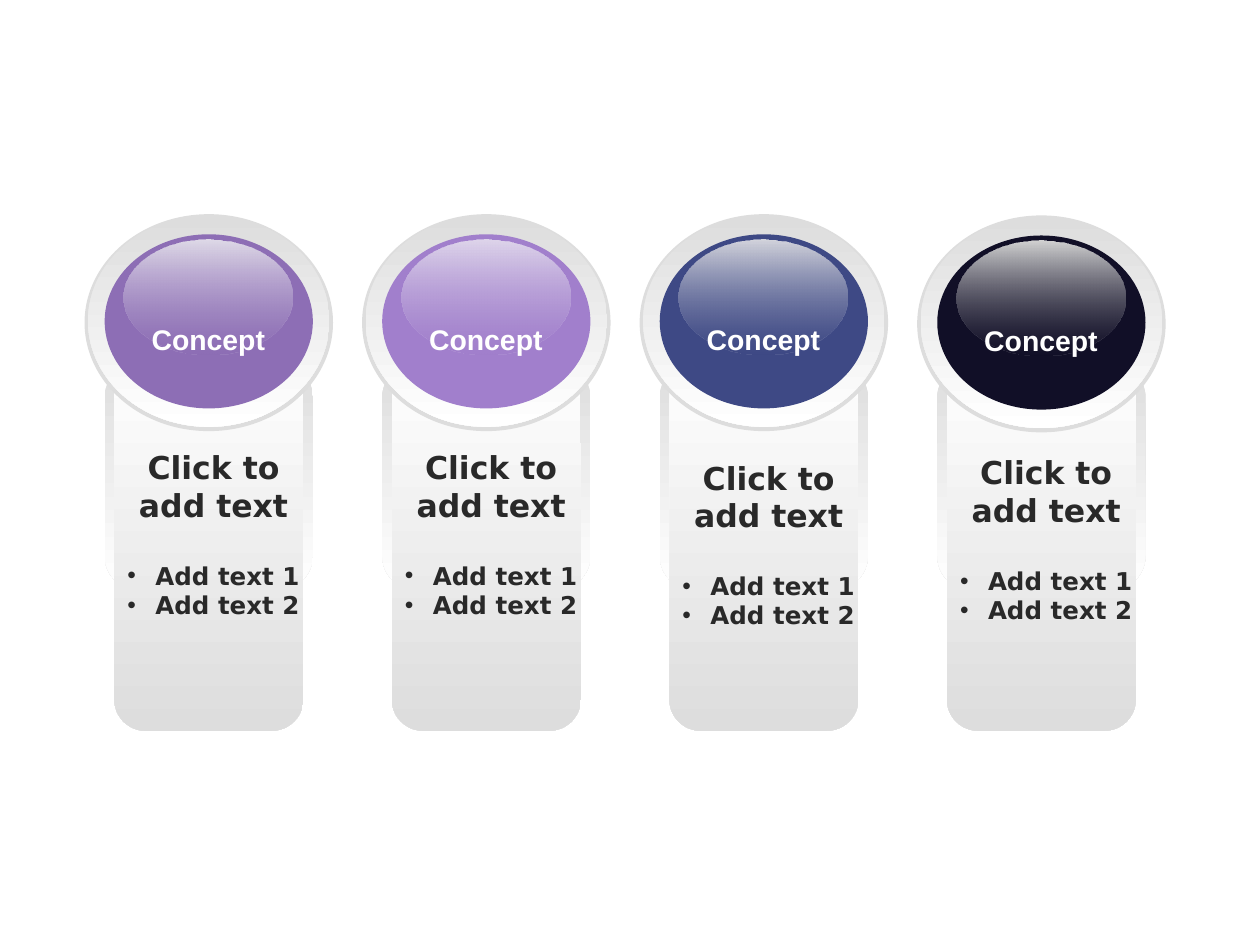
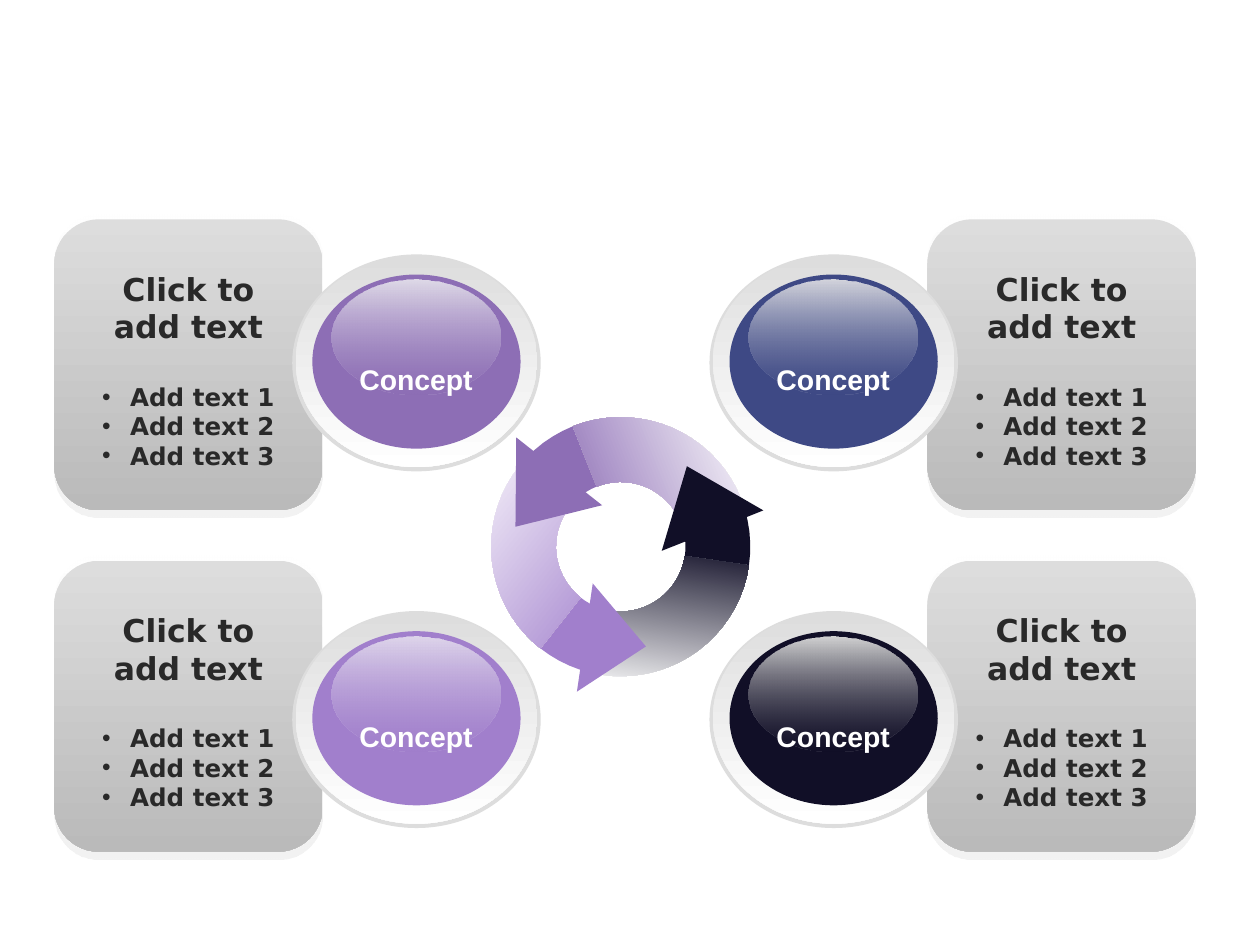
import math

import lxml.etree
import pptx
import pptx.dml.color
import pptx.enum.shapes
import pptx.enum.text
import pptx.oxml.ns
import pptx.util

Pt = pptx.util.Pt
RGBColor = pptx.dml.color.RGBColor
Preset = pptx.enum.shapes.MSO_SHAPE
qn = pptx.oxml.ns.qn

# Colours
WHITE = RGBColor(0xFF, 0xFF, 0xFF)
SILVER = RGBColor(0xDD, 0xDD, 0xDD)
GREY = RGBColor(0xBA, 0xBA, 0xBA)
INK = RGBColor(0x29, 0x29, 0x29)
PURPLE = RGBColor(0x8D, 0x6E, 0xB5)
LILAC = RGBColor(0xA1, 0x7F, 0xCC)
BLUE = RGBColor(0x3E, 0x49, 0x85)
NIGHT = RGBColor(0x11, 0x0F, 0x27)
GLOSS = {
    PURPLE: RGBColor(0xDF, 0xDA, 0xE8),
    LILAC: RGBColor(0xDE, 0xD5, 0xEB),
    BLUE: RGBColor(0xD4, 0xD5, 0xDD),
    NIGHT: RGBColor(0xD3, 0xD3, 0xD3),
}

# Fonts
BODY_FONT = "DejaVu Sans"
LABEL_FONT = "Arial"


class Deck:
    """Holds the presentation, its style and the current slide."""

    def __init__(self, width, height):
        self.presentation = pptx.Presentation()
        self.presentation.slide_width = Pt(width)
        self.presentation.slide_height = Pt(height)
        self.slide = None

    def new_slide(self):
        blank = self.presentation.slide_layouts[6]
        self.slide = self.presentation.slides.add_slide(blank)

    def paint(self, shape, *colours, opacity=(100, 100)):
        """Fill with one colour, or with two from top to bottom."""
        shape.shadow.inherit = False
        shape.line.fill.background()
        if len(colours) == 1:
            shape.fill.solid()
            shape.fill.fore_color.rgb = colours[0]
            return
        shape.fill.gradient()
        shape.fill.gradient_angle = 270
        for stop, colour in zip(shape.fill.gradient_stops, colours):
            stop.color.rgb = colour
        values = shape._element.spPr.iter(qn("a:srgbClr"))
        for value, percent in zip(values, opacity):
            if percent < 100:
                alpha = lxml.etree.SubElement(value, qn("a:alpha"))
                alpha.set("val", str(percent * 1000))

    def shape(self, preset, left, top, width, height, *colours, opacity=(100, 100)):
        shape = self.slide.shapes.add_shape(
            preset, Pt(left), Pt(top), Pt(width), Pt(height))
        self.paint(shape, *colours, opacity=opacity)
        return shape

    def text_frame(self, left, top, width, height):
        box = self.slide.shapes.add_textbox(Pt(left), Pt(top), Pt(width), Pt(height))
        box.text_frame.word_wrap = True
        return box.text_frame

    def add_run(self, paragraph, text, font, size, colour):
        paragraph.alignment = pptx.enum.text.PP_ALIGN.CENTER
        run = paragraph.add_run()
        run.text = text
        run.font.name = font
        run.font.size = Pt(size)
        run.font.bold = True
        run.font.color.rgb = colour
        return run

    def bullet(self, paragraph, indent=16):
        properties = paragraph._p.get_or_add_pPr()
        properties.set("marL", str(Pt(indent)))
        properties.set("indent", str(-Pt(indent)))
        font = lxml.etree.SubElement(properties, qn("a:buFont"))
        font.set("typeface", LABEL_FONT)
        mark = lxml.etree.SubElement(properties, qn("a:buChar"))
        mark.set("char", "•")

    def heading_and_bullets(self, left, top, width, count):
        frame = self.text_frame(left, top, width, 122.4)
        self.add_run(frame.paragraphs[0], "Click to add text", BODY_FONT, 18, INK)
        for number in range(1, count + 1):
            paragraph = frame.add_paragraph()
            if number == 1:
                paragraph.space_before = Pt(21)
            self.bullet(paragraph)
            self.add_run(paragraph, f"Add text {number}", BODY_FONT, 14, INK)

    def ball(self, left, top, colour):
        """A glossy disc in a silver rim, with its label."""
        oval = Preset.OVAL
        self.shape(oval, left, top, 142, 124, SILVER)
        self.shape(oval, left + 2, top + 0.5, 138, 121, SILVER, WHITE)
        self.shape(oval, left + 11.5, top + 11.5, 119, 99.5, colour)
        self.shape(oval, left + 22.5, top + 14.5, 96.5, 65.5,
                   GLOSS[colour], colour, opacity=(100, 37))
        frame = self.text_frame(left + 22.5, top + 39.5, 96.5, 30)
        run = self.add_run(frame.paragraphs[0], "Concept", LABEL_FONT, 28, WHITE)
        run._r.get_or_add_rPr().set("baseline", "-25000")

    def column(self, left, top, text_top):
        self.shape(Preset.ROUNDED_RECTANGLE, left, top + 5, 119, 130, SILVER, WHITE)
        self.shape(Preset.ROUNDED_RECTANGLE, left + 5.5, top, 108, 215.3, WHITE, SILVER)
        self.heading_and_bullets(left, text_top, 124.5, 2)

    def card(self, left, top):
        rounded = Preset.ROUNDED_RECTANGLE
        self.shape(rounded, left, top, 153.4, 173.5, WHITE, SILVER, opacity=(100, 35))
        self.shape(rounded, left, top + 2.9, 153.4, 166.3, SILVER, GREY)
        self.heading_and_bullets(left + 16.6, top + 28.1, 120.2, 3)

    def ring_quarter(self, center, radius, rotation, *colours):
        """The upper left quarter of a ring, turned about the ring's center."""
        angles = [math.radians(degrees) for degrees in range(180, 271, 5)]
        arcs = [(radius, angle) for angle in angles]
        arcs += [(radius / 2, angle) for angle in reversed(angles)]
        points = [(Pt(center[0] + reach * math.cos(angle)),
                   Pt(center[1] + reach * math.sin(angle))) for reach, angle in arcs]
        builder = self.slide.shapes.build_freeform(*points[0], scale=1.0)
        builder.add_line_segments(points[1:], close=True)
        quarter = builder.convert_to_shape()
        direction = math.radians(225 + rotation)
        reach = radius / math.sqrt(2)
        quarter.left = Pt(center[0] + reach * math.cos(direction) - radius / 2)
        quarter.top = Pt(center[1] + reach * math.sin(direction) - radius / 2)
        quarter.rotation = rotation
        self.paint(quarter, *colours)

    def arrow_head(self, left, top, height, rotation, colour):
        head = self.shape(Preset.ISOSCELES_TRIANGLE, left, top, 62.5, height, colour)
        head.rotation = rotation


def build_columns(deck):
    deck.new_slide()
    colours = (PURPLE, LILAC, BLUE, NIGHT)
    lefts = [48.3 + 158.6 * index for index in range(4)]

    # Columns with their text
    for left, text_top in zip(lefts, (252.7, 252.7, 258.5, 255.6)):
        deck.column(left + 11.5, 202.3, text_top)

    # Balls on top of the columns
    for left, top, colour in zip(lefts, (122.4, 122.4, 122.4, 123.1), colours):
        deck.ball(left, top, colour)


def build_cycle(deck):
    deck.new_slide()

    # Cards at the four corners
    for left in (31, 530):
        for top in (122.4, 317.5):
            deck.card(left, top)

    # Ring of three arrows: colour, then left, top and height of the head
    center, radius = (354.7, 312.4), 74
    arrows = (
        (PURPLE, 275.8, 265, 40.3),
        (NIGHT, 368.6, 265, 39.6),
        (LILAC, 320.4, 349.2, 35.3),
    )
    turns = [38.3 + 120 * index for index in range(3)]
    for turn, (colour, *_) in zip(turns, arrows):
        deck.ring_quarter(center, radius, turn, colour)
        deck.ring_quarter(center, radius, turn + 30, WHITE, colour)
    for turn, (colour, left, top, height) in zip(turns, arrows):
        deck.arrow_head(left, top, height, (turn + 180) % 360, colour)

    # Balls beside the cards
    for left, top, colour in (
        (167, 145.4, PURPLE),
        (405.4, 349.2, NIGHT),
        (167, 349.2, LILAC),
        (405.4, 145.4, BLUE),
    ):
        deck.ball(left, top, colour)


def main():
    deck = Deck(720, 540)
    build_columns(deck)
    build_cycle(deck)
    deck.presentation.save("out.pptx")


if __name__ == "__main__":
    main()
